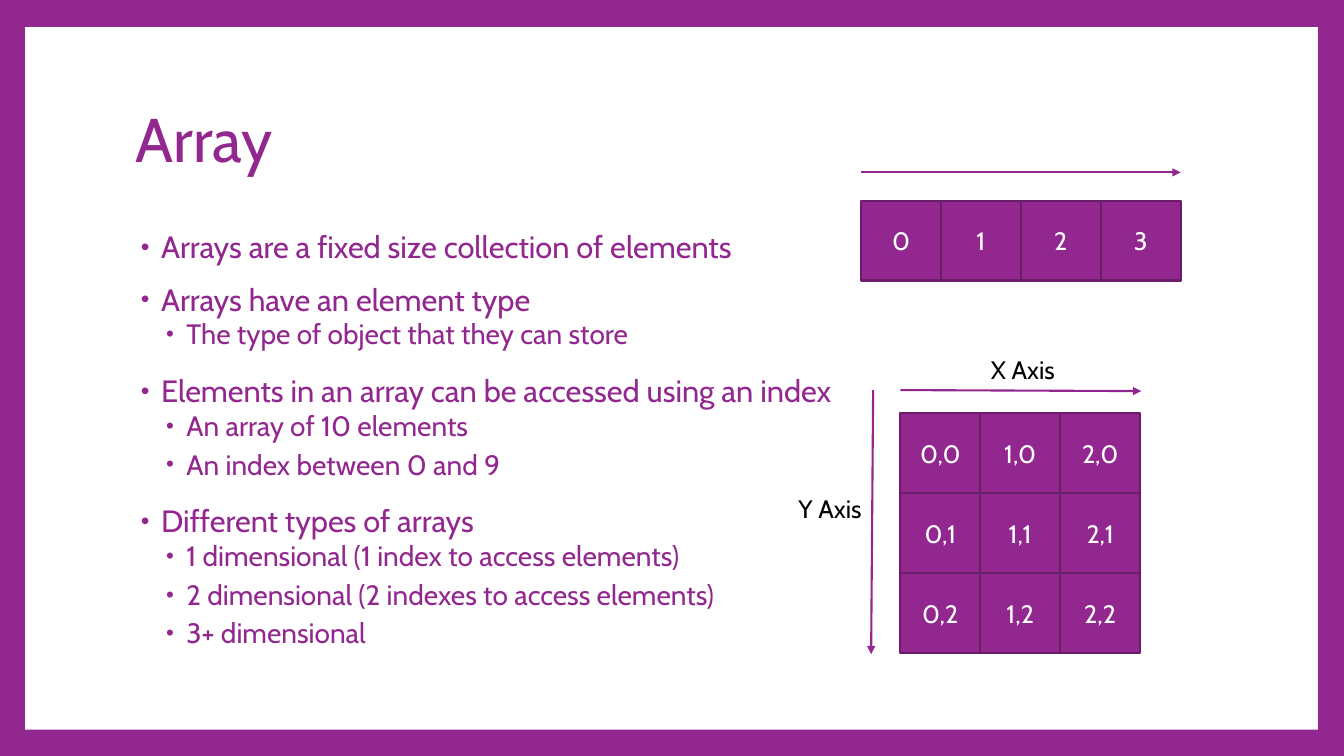
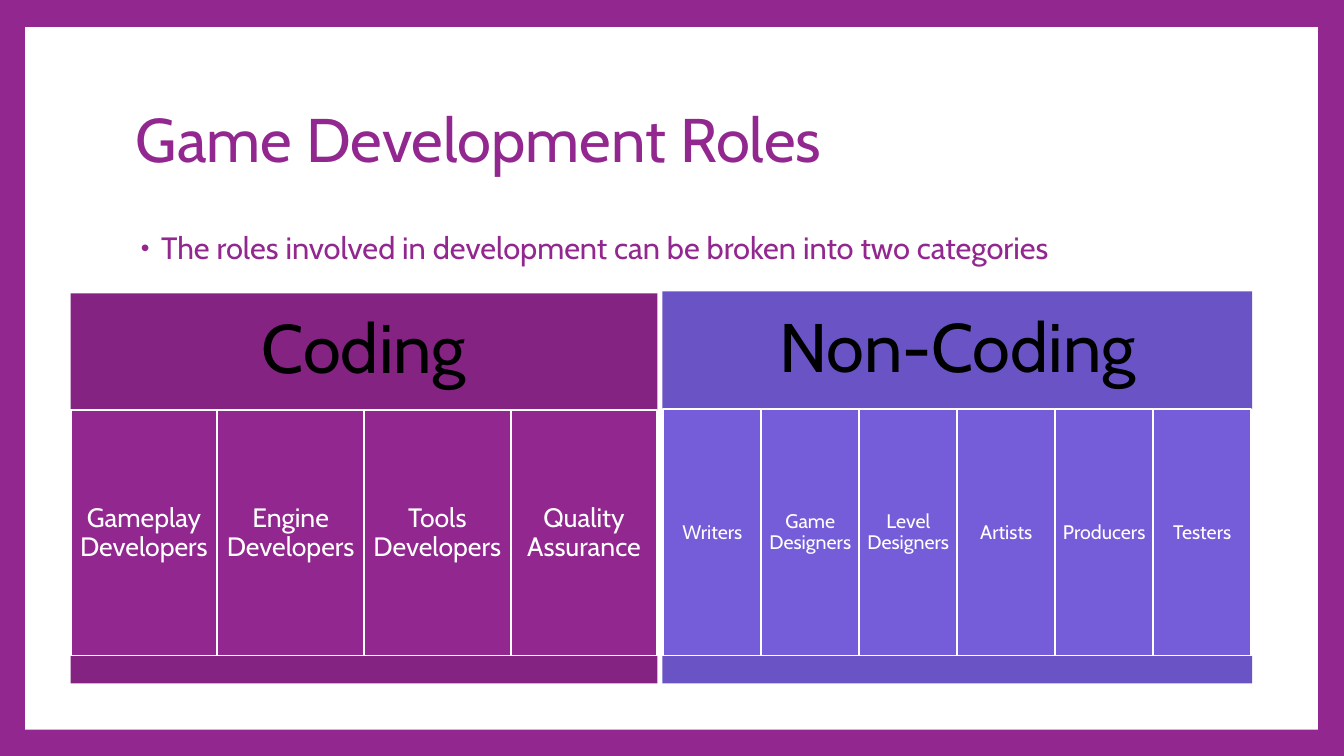
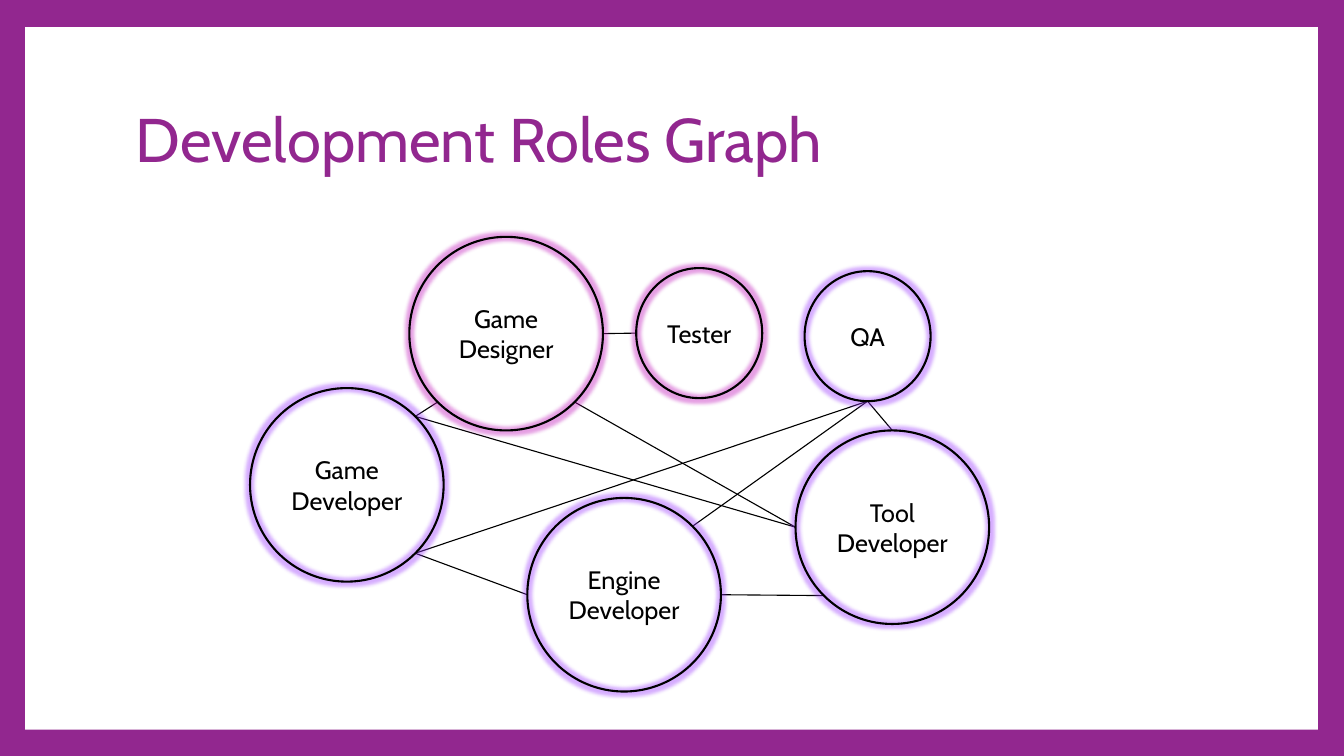
import math

from lxml import etree
from pptx import Presentation
from pptx import util as u
from pptx.dml.color import RGBColor
from pptx.enum import shapes, text
from pptx.oxml.ns import qn

# Shared style
FONT = "Cabin"
COLORS = {
    "purple": "92278F", "edge": "6C1D6A", "white": "FFFFFF", "black": "000000",
    "coding": "852382", "noncoding": "6A54C5", "noncoding_card": "755DD9",
    "pink_glow": "C010BA", "violet_glow": "9933FF",
}
RECT = shapes.MSO_SHAPE.RECTANGLE
OVAL = shapes.MSO_SHAPE.OVAL
MIDDLE = text.MSO_ANCHOR.MIDDLE
CENTER = text.PP_ALIGN.CENTER

# Content
ARRAY_POINTS = [
    (0, "Arrays are a fixed size collection of elements"),
    (0, "Arrays have an element type"),
    (1, "The type of object that they can store"),
    (0, "Elements in an array can be accessed using an index"),
    (1, "An array of 10 elements"),
    (1, "An index between 0 and 9"),
    (0, "Different types of arrays"),
    (1, "1 dimensional (1 index to access elements)"),
    (1, "2 dimensional (2 indexes to access elements)"),
    (1, "3+ dimensional"),
]
CODING_ROLES = ["Gameplay Developers", "Engine Developers",
                "Tools Developers", "Quality Assurance"]
NONCODING_ROLES = ["Writers", "Game Designers", "Level Designers",
                   "Artists", "Producers", "Testers"]

# Graph nodes: left, top, width, height, label, glow
NODES = {
    "engine": (5.23, 4.94, 1.92, 1.92, "Engine\nDeveloper", "violet_glow"),
    "game": (2.48, 3.85, 1.92, 1.92, "Game\nDeveloper", "violet_glow"),
    "tool": (7.89, 4.27, 1.92, 1.92, "Tool\nDeveloper", "violet_glow"),
    "designer": (4.06, 2.35, 1.92, 1.92, "Game\nDesigner", "pink_glow"),
    "tester": (6.31, 2.66, 1.25, 1.29, "Tester", "pink_glow"),
    "qa": (7.98, 2.69, 1.25, 1.29, "QA", "violet_glow"),
}
# Graph links: node and compass side at each end
LINKS = [
    ("engine", "W", "game", "SE"), ("engine", "E", "tool", "SW"),
    ("game", "NE", "designer", "SW"), ("tool", "W", "designer", "SE"),
    ("designer", "E", "tester", "W"), ("game", "NE", "tool", "W"),
    ("tool", "N", "qa", "S"), ("engine", "NE", "qa", "S"),
    ("game", "SE", "qa", "S"),
]
COMPASS = ["E", "SE", "S", "SW", "W", "NW", "N", "NE"]


def rgb(name):
    return RGBColor.from_string(COLORS[name])


def box(x, y, w, h):
    return [u.Inches(v) for v in (x, y, w, h)]


def add_run(p, words, size, color):
    r = p.add_run()
    r.text = words
    r.font.name = FONT
    r.font.size = u.Pt(size)
    r.font.color.rgb = rgb(color)


def add_label(s, x, y, w, h, words, size, color, anchor=None, spacing=None):
    tf = s.shapes.add_textbox(*box(x, y, w, h)).text_frame
    tf.word_wrap = True
    tf.vertical_anchor = anchor
    p = tf.paragraphs[0]
    p.line_spacing = spacing
    add_run(p, words, size, color)


def add_block(s, kind, x, y, w, h, fill=None, line=None):
    sp = s.shapes.add_shape(kind, *box(x, y, w, h))
    sp.shadow.inherit = False
    if fill:
        sp.fill.solid()
        sp.fill.fore_color.rgb = rgb(fill)
    else:
        sp.fill.background()
    if line:
        sp.line.color.rgb = rgb(line)
        sp.line.width = u.Pt(1.5)
    else:
        sp.line.fill.background()
    return sp


def write_centered(sp, words, size, color, spacing=None, inset=None):
    tf = sp.text_frame
    tf.word_wrap = True
    tf.vertical_anchor = MIDDLE
    if inset is not None:
        tf.margin_left = tf.margin_right = u.Inches(inset)
        tf.margin_top = tf.margin_bottom = u.Inches(inset)
    for i, line in enumerate(words.split("\n")):
        p = tf.add_paragraph() if i else tf.paragraphs[0]
        p.alignment = CENTER
        p.line_spacing = spacing
        add_run(p, line, size, color)


def add_line(s, start, end, color, width, arrow=False):
    ends = [u.Inches(v) for v in (*start, *end)]
    cx = s.shapes.add_connector(shapes.MSO_CONNECTOR.STRAIGHT, *ends)
    cx.line.color.rgb = rgb(color)
    cx.line.width = u.Pt(width)
    if arrow:
        etree.SubElement(cx.line._get_or_add_ln(), qn("a:tailEnd"), type="triangle")
    etree.SubElement(cx._element.spPr, qn("a:effectLst"))


def add_glow(sp, color):
    effects = sp._element.spPr.find(qn("a:effectLst"))
    glow = etree.SubElement(effects, qn("a:glow"), rad=str(u.Pt(5)))
    clr = etree.SubElement(glow, qn("a:srgbClr"), val=COLORS[color])
    etree.SubElement(clr, qn("a:alpha"), val="40000")


def set_bullet(p, level):
    pPr = p._p.get_or_add_pPr()
    pPr.set("marL", str(u.Inches(0.25 * (level + 1))))
    pPr.set("indent", str(u.Inches(-0.2)))
    clr = etree.SubElement(pPr, qn("a:buClr"))
    etree.SubElement(clr, qn("a:srgbClr"), val=COLORS["purple"])
    etree.SubElement(pPr, qn("a:buSzPct"), val="80000")
    etree.SubElement(pPr, qn("a:buFont"), typeface="Arial")
    etree.SubElement(pPr, qn("a:buChar"), char="•")


def add_bullets(s, x, y, w, h, points):
    tf = s.shapes.add_textbox(*box(x, y, w, h)).text_frame
    tf.word_wrap = True
    for i, (level, words) in enumerate(points):
        p = tf.add_paragraph() if i else tf.paragraphs[0]
        p.level = level
        p.line_spacing = 0.9
        p.space_before = u.Pt(2 if level else 14)
        p.space_after = u.Pt(4 if level else 0)
        set_bullet(p, level)
        add_run(p, words, 20 if level else 22, "purple")


def new_slide(prs, title):
    s = prs.slides.add_slide(prs.slide_layouts[6])
    s.background.fill.solid()
    s.background.fill.fore_color.rgb = rgb("purple")
    add_block(s, RECT, 0.25, 0.27, 12.82, 6.97, "white")
    add_label(s, 1.25, 0.67, 10.8, 1.48, title, 44, "purple", MIDDLE, 0.9)
    return s


def add_cells(s, x, y, rows):
    side = 3.17 / 4
    for j, row in enumerate(rows):
        for i, words in enumerate(row):
            sp = add_block(s, RECT, x + i * side, y + j * side, side, side,
                           "purple", "edge")
            write_centered(sp, words, 18, "white")


def add_category(s, x, y, w, header_h, name, band, card, roles, size, inset, edge=0):
    foot_y, foot_h = 6.51, 0.27
    header = add_block(s, RECT, x, y, w, header_h, band)
    write_centered(header, name, 49, "black", 0.9, 0.2)
    card_y = y + header_h
    card_w = (w - 2 * edge) / len(roles)
    for i, role in enumerate(roles):
        sp = add_block(s, RECT, x + edge + i * card_w, card_y, card_w,
                       foot_y - card_y, card, "white")
        write_centered(sp, role, size, "white", 0.9, inset)
    add_block(s, RECT, x, foot_y, w, foot_h, band)


def rim_point(node, side):
    x, y, w, h = NODES[node][:4]
    angle = COMPASS.index(side) * math.pi / 4
    return x + w / 2 * (1 + math.cos(angle)), y + h / 2 * (1 + math.sin(angle))


def array_slide(prs):
    s = new_slide(prs, "Array")
    add_bullets(s, 1.25, 2.25, 7.16, 4.42, ARRAY_POINTS)
    # One- and two-dimensional arrays
    add_cells(s, 8.54, 1.99, ["0123"])
    add_cells(s, 8.93, 4.1, [[f"{i},{j}" for i in range(3)] for j in range(3)])
    # Axes
    for start, end in [((8.54, 1.71), (11.71, 1.71)),
                       ((8.93, 3.87), (11.32, 3.88)),
                       ((8.66, 3.87), (8.64, 6.49))]:
        add_line(s, start, end, "purple", 1.5, arrow=True)
    add_label(s, 9.73, 3.47, 0.86, 0.4, "X Axis", 18, "black")
    add_label(s, 7.82, 4.84, 0.86, 0.4, "Y Axis", 18, "black")


def roles_slide(prs):
    s = new_slide(prs, "Game Development Roles")
    add_bullets(s, 1.25, 2.26, 10.8, 4.42, [
        (0, "The roles involved in development can be broken into two categories")])
    add_category(s, 0.7, 2.91, 5.82, 1.16, "Coding", "coding", "purple",
                 CODING_ROLES, 19, 0.08)
    add_category(s, 6.57, 2.89, 5.85, 1.17, "Non-Coding", "noncoding",
                 "noncoding_card", NONCODING_ROLES, 14, 0.06, edge=0.01)


def graph_slide(prs):
    s = new_slide(prs, "Development Roles Graph")
    for a, a_side, b, b_side in LINKS:
        add_line(s, rim_point(a, a_side), rim_point(b, b_side), "black", 0.79)
    for x, y, w, h, words, glow in NODES.values():
        sp = add_block(s, OVAL, x, y, w, h, line="black")
        add_glow(sp, glow)
        write_centered(sp, words, 18, "black")


def main():
    prs = Presentation()
    prs.slide_width = u.Inches(13.33)
    prs.slide_height = u.Inches(7.5)
    array_slide(prs)
    roles_slide(prs)
    graph_slide(prs)
    prs.save("out.pptx")


main()
